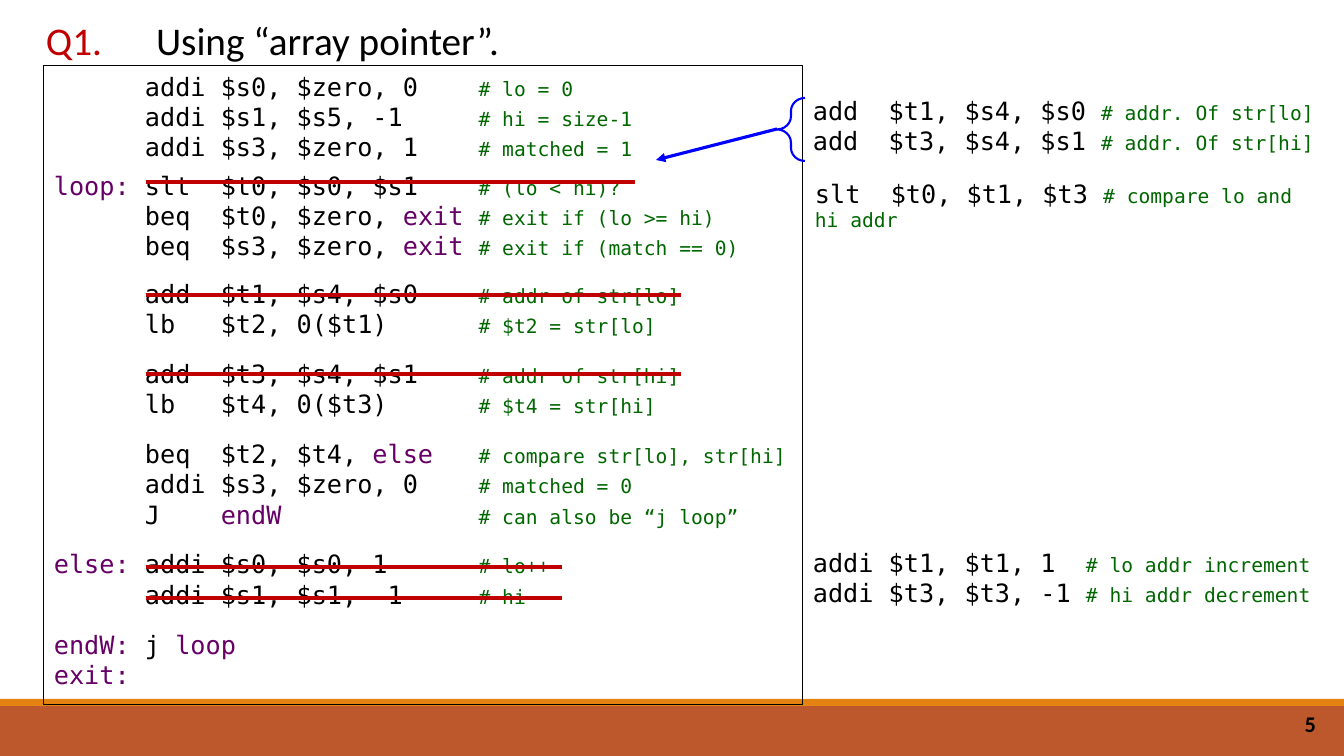
from lxml.etree import SubElement
from pptx import Presentation
from pptx.dml.color import RGBColor
from pptx.enum.shapes import MSO_CONNECTOR as Connector, MSO_SHAPE as Shape
from pptx.enum.text import MSO_ANCHOR as Anchor, MSO_AUTO_SIZE as AutoSize, PP_ALIGN as Align
from pptx.oxml.ns import qn
from pptx.util import Pt

BLACK = RGBColor(0x00, 0x00, 0x00)
RED = RGBColor(0xC0, 0x00, 0x00)
BLUE = RGBColor(0x00, 0x00, 0xFF)
GREEN = RGBColor(0x00, 0x66, 0x00)
PURPLE = RGBColor(0x66, 0x00, 0x66)
RUST = RGBColor(0xBD, 0x58, 0x2C)
ORANGE = RGBColor(0xE4, 0x83, 0x12)
SANS, MONO = "Calibri", "DejaVu Sans Mono"
CODE_SIZE, COMMENT_SIZE, TITLE_SIZE = 18, 14, 28
EMU_PER_PX = 914400 / 100.8
CODE_CHAR = 15.17  # width in pixels of one code character


def px(length):
    return round(length * EMU_PER_PX)


class SlideBuilder:
    def __init__(self, slide):
        self.slide = slide

    def format_run(self, run, size, color, font=MONO, bold=False):
        run.font.size, run.font.name, run.font.bold = Pt(size), font, bold
        run.font.color.rgb = color

    def shape(self, kind, box, fill=None, line=None, width=0.75):
        shape = self.slide.shapes.add_shape(kind, *map(px, box))
        shape.shadow.inherit = False
        if fill is None:
            shape.fill.background()
        else:
            shape.fill.solid()
            shape.fill.fore_color.rgb = fill
        if line is None:
            shape.line.fill.background()
        else:
            shape.line.color.rgb = line
            shape.line.width = Pt(width)
        return shape

    def textbox(self, box):
        return self.slide.shapes.add_textbox(*map(px, box))

    def label(self, holder, text, size, color, align, anchor=Anchor.TOP, bold=False):
        frame = holder.text_frame
        frame.text = text
        frame.word_wrap, frame.auto_size = True, AutoSize.NONE
        frame.vertical_anchor = anchor
        frame.paragraphs[0].alignment = align
        self.format_run(frame.paragraphs[0].runs[0], size, color, SANS, bold)

    def title(self, box, text):
        title = self.slide.shapes.title
        title.left, title.top, title.width, title.height = map(px, box)
        self.label(title, text, TITLE_SIZE, BLACK, Align.LEFT)

    def code(self, holder, lines, columns):
        """Lines are (text, space before); ~ encloses jump labels, # opens a comment."""
        frame = holder.text_frame
        frame.word_wrap, frame.vertical_anchor = True, Anchor.TOP
        for index, (text, gap) in enumerate(lines):
            paragraph = frame.add_paragraph() if index else frame.paragraphs[0]
            paragraph.alignment = Align.LEFT
            paragraph.space_before = Pt(gap)
            self.tab_stops(paragraph, columns)
            instruction, mark, comment = text.partition("#")
            parts = [(part, CODE_SIZE, PURPLE if position % 2 else BLACK)
                     for position, part in enumerate(instruction.split("~"))]
            parts.append((mark + comment, COMMENT_SIZE, GREEN))
            for part, size, color in parts:
                if part:
                    run = paragraph.add_run()
                    run.text = part
                    self.format_run(run, size, color)

    def tab_stops(self, paragraph, columns):
        tabs = SubElement(paragraph._p.get_or_add_pPr(), qn("a:tabLst"))
        for column in columns:
            SubElement(tabs, qn("a:tab"), pos=str(px(column * CODE_CHAR)), algn="l")

    def line(self, start, end, color, arrow=False):
        line = self.slide.shapes.add_connector(Connector.STRAIGHT, *map(px, start + end))
        line.line.color.rgb = color
        line.line.width = Pt(2.25)
        if arrow:
            SubElement(line.line._get_or_add_ln(), qn("a:tailEnd"), type="triangle")
        SubElement(line._element.spPr, qn("a:effectLst"))


prs = Presentation()
prs.slide_width, prs.slide_height = px(1344), px(756)
builder = SlideBuilder(prs.slides.add_slide(prs.slide_layouts[5]))

# Footer bars and slide number
builder.shape(Shape.RECTANGLE, (0, 706, 1344, 50), fill=RUST)
builder.shape(Shape.RECTANGLE, (0, 699, 1344, 7), fill=ORANGE)
builder.label(builder.textbox((1024, 704, 302, 40)), "5", 16, BLACK,
              Align.RIGHT, Anchor.MIDDLE, bold=True)

# Heading
builder.label(builder.textbox((24, 11, 100, 57)), "Q1.", TITLE_SIZE, RED, Align.CENTER)
builder.title((146, 11, 602, 57), "Using “array pointer”.")

# Array-index program
PROGRAM = [
    ("\taddi\t$s0, $zero, 0\t# lo = 0", 0),
    ("\taddi\t$s1, $s5, -1\t# hi = size-1", 0),
    ("\taddi\t$s3, $zero, 1\t# matched = 1", 0),
    ("~loop:~\tslt\t$t0, $s0, $s1\t# (lo < hi)?", 6),
    ("\tbeq\t$t0, $zero, ~exit~\t# exit if (lo >= hi)", 0),
    ("\tbeq\t$s3, $zero, ~exit~\t# exit if (match == 0)", 0),
    ("\tadd\t$t1, $s4, $s0\t# addr of str[lo]", 12.5),
    ("\tlb\t$t2, 0($t1)\t# $t2 = str[lo]", 0),
    ("\tadd\t$t3, $s4, $s1\t# addr of str[hi]", 14),
    ("\tlb\t$t4, 0($t3)\t# $t4 = str[hi]", 0),
    ("\tbeq\t$t2, $t4, ~else~\t# compare str[lo], str[hi]", 14),
    ("\taddi\t$s3, $zero, 0\t# matched = 0", 0),
    ("\tJ\t~endW~\t# can also be “j loop”", 0),
    ("~else:~\taddi\t$s0, $s0, 1\t# lo++", 14),
    ("\taddi\t$s1, $s1, -1\t# hi--", 0),
    ("~endW:~\tj ~loop~", 14),
    ("~exit:~", 0),
]
program_box = builder.shape(Shape.RECTANGLE, (44, 66, 759, 639), line=BLACK)
builder.code(program_box, PROGRAM, columns=(6, 11, 28))

# Address setup moved ahead of the loop
builder.line((777, 129), (656, 160), BLUE, arrow=True)
brace = builder.shape(Shape.LEFT_BRACE, (777, 98, 28, 63), line=BLUE, width=1.5)
brace.adjustments[0], brace.adjustments[1] = 0.47, 0.5

# Replacement instructions: box, comment column, lines
REPLACEMENTS = [
    ((803, 90, 523, 72), 19, ["add\t$t1, $s4, $s0\t# addr. Of str[lo]",
                              "add\t$t3, $s4, $s1\t# addr. Of str[hi]"]),
    ((805, 173, 523, 65), 19, ["slt\t$t0, $t1, $t3\t# compare lo and hi addr"]),
    ((803, 542, 523, 72), 18, ["addi\t$t1, $t1, 1\t# lo addr increment",
                               "addi\t$t3, $t3, -1\t# hi addr decrement"]),
]
for box, comment_column, lines in REPLACEMENTS:
    builder.code(builder.textbox(box), [(text, 0) for text in lines], (5, comment_column))

# Strikes through the replaced instructions
for strike_y, strike_end in ((182, 635), (295, 681), (374, 681), (567, 562), (598, 562)):
    builder.line((146, strike_y), (strike_end, strike_y), RED)

prs.save("out.pptx")
